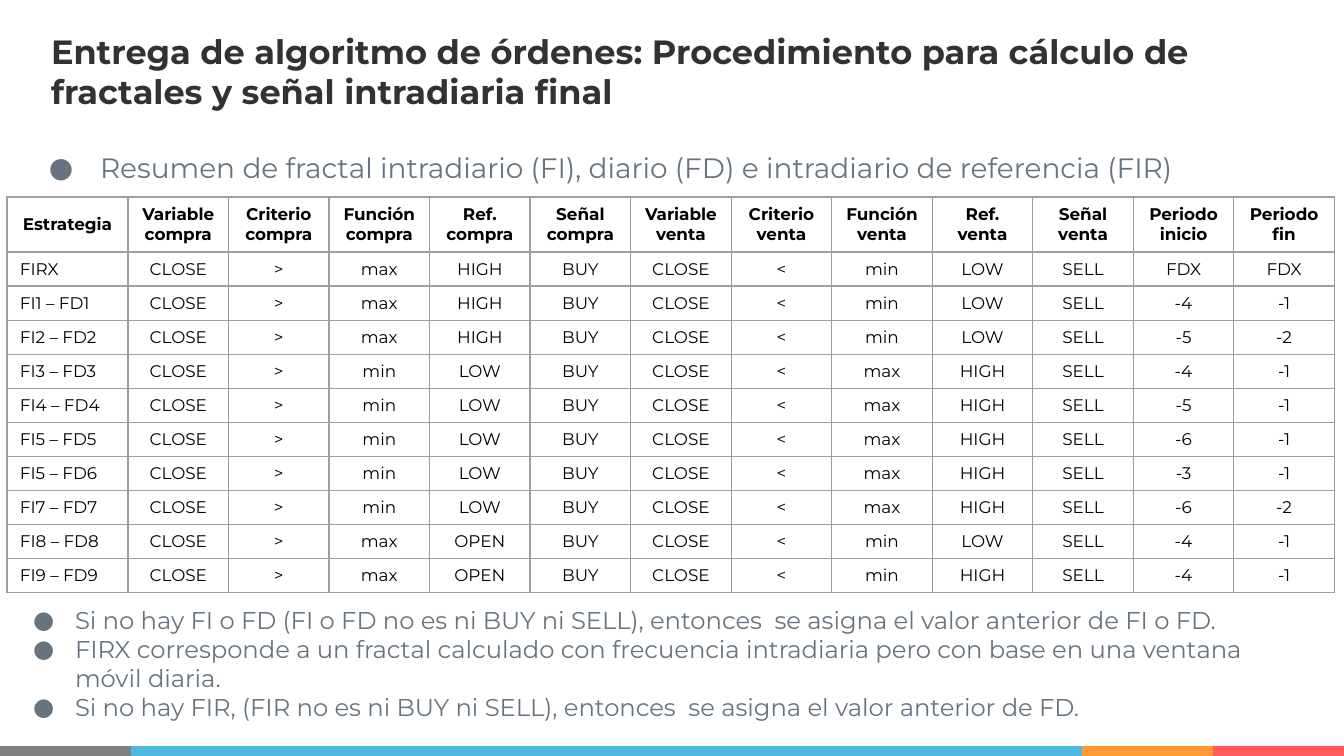
from lxml import etree
from pptx import Presentation
from pptx.dml.color import RGBColor
from pptx.enum.shapes import MSO_SHAPE
from pptx.enum.text import MSO_ANCHOR, MSO_AUTO_SIZE, PP_ALIGN
from pptx.oxml.ns import qn
from pptx.util import Emu, Pt

RECTANGLE = MSO_SHAPE.RECTANGLE
TOP, MIDDLE = MSO_ANCHOR.TOP, MSO_ANCHOR.MIDDLE
NO_AUTOFIT = MSO_AUTO_SIZE.NONE
LEFT, CENTER = PP_ALIGN.LEFT, PP_ALIGN.CENTER

FONT = "Montserrat"
EMU_PER_PX = 914400 / 134.4
INSET = 13
COLORS = {
    "title": "323232",
    "body": "677480",
    "cell": "000000",
    "border": "9E9E9E",
    "gray": "808080",
    "blue": "4EB8E1",
    "orange": "FF9933",
    "red": "FF5D5D",
}

TITLE = ("Entrega de algoritmo de órdenes: Procedimiento para cálculo de "
         "fractales y señal intradiaria final")
SUMMARY = ["Resumen de fractal intradiario (FI), diario (FD) e intradiario de referencia (FIR)"]
NOTES = [
    "Si no hay FI o FD (FI o FD no es ni BUY ni SELL), entonces  se asigna el valor anterior de FI o FD.",
    "FIRX corresponde a un fractal calculado con frecuencia intradiaria pero con base en una "
    "ventana móvil diaria.",
    "Si no hay FIR, (FIR no es ni BUY ni SELL), entonces  se asigna el valor anterior de FD.",
]
HEADERS = [
    "Estrategia", "Variable compra", "Criterio compra", "Función\ncompra", "Ref. compra",
    "Señal compra", "Variable venta", "Criterio venta", "Función venta", "Ref. venta",
    "Señal venta", "Periodo inicio", "Periodo fin",
]
STRATEGIES = [
    ("FIRX", "max", "HIGH", "min", "LOW", "FDX", "FDX"),
    ("FI1 – FD1", "max", "HIGH", "min", "LOW", "-4", "-1"),
    ("FI2 – FD2", "max", "HIGH", "min", "LOW", "-5", "-2"),
    ("FI3 – FD3", "min", "LOW", "max", "HIGH", "-4", "-1"),
    ("FI4 – FD4", "min", "LOW", "max", "HIGH", "-5", "-1"),
    ("FI5 – FD5", "min", "LOW", "max", "HIGH", "-6", "-1"),
    ("FI5 – FD6", "min", "LOW", "max", "HIGH", "-3", "-1"),
    ("FI7 – FD7", "min", "LOW", "max", "HIGH", "-6", "-2"),
    ("FI8 – FD8", "max", "OPEN", "min", "LOW", "-4", "-1"),
    ("FI9 – FD9", "max", "OPEN", "min", "HIGH", "-4", "-1"),
]


def px(length):
    """Convert pixels to EMU."""
    return Emu(round(length * EMU_PER_PX))


def rgb(name):
    """Look up a colour of the palette."""
    return RGBColor.from_string(COLORS[name])


def format_runs(paragraph, size, color, bold=False):
    """Apply the slide font to every run of a paragraph."""
    for run in paragraph.runs:
        run.font.name = FONT
        run.font.size = Pt(size)
        run.font.bold = bold
        run.font.color.rgb = rgb(color)


def fit_placeholder(placeholder, box):
    """Move a placeholder into its box and return its text frame."""
    placeholder.left, placeholder.top, placeholder.width, placeholder.height = map(px, box)
    frame = placeholder.text_frame
    frame.auto_size = NO_AUTOFIT
    frame.word_wrap = True
    frame.vertical_anchor = TOP
    frame.margin_left = frame.margin_right = px(INSET)
    frame.margin_top = frame.margin_bottom = px(INSET)
    return frame


def add_bullet(paragraph, margin, hanging):
    """Give a paragraph a round bullet with a hanging indent."""
    properties = paragraph._p.get_or_add_pPr()
    properties.set("marL", str(px(margin)))
    properties.set("indent", str(-px(hanging)))
    bullet_color = etree.SubElement(properties, qn("a:buClr"))
    etree.SubElement(bullet_color, qn("a:srgbClr"), val=COLORS["body"])
    etree.SubElement(properties, qn("a:buFont"), typeface=FONT)
    etree.SubElement(properties, qn("a:buChar"), char="●")


def build_title(placeholder, box):
    """Write the slide title."""
    frame = fit_placeholder(placeholder, box)
    frame.text = TITLE
    frame.paragraphs[0].alignment = LEFT
    format_runs(frame.paragraphs[0], 18, "title", bold=True)


def build_bullets(placeholder, box, items, size, margin, hanging):
    """Write a bulleted list."""
    frame = fit_placeholder(placeholder, box)
    frame.text = "\n".join(items)
    for paragraph in frame.paragraphs:
        paragraph.space_before = Pt(0)
        paragraph.line_spacing = 1.0
        add_bullet(paragraph, margin, hanging)
        format_runs(paragraph, size, "body")


def add_borders(cell):
    """Draw the four thin borders of a cell."""
    properties = cell._tc.get_or_add_tcPr()
    for side in ("lnL", "lnR", "lnT", "lnB"):
        line = etree.SubElement(properties, qn(f"a:{side}"), w=str(Pt(0.75)))
        fill = etree.SubElement(line, qn("a:solidFill"))
        etree.SubElement(fill, qn("a:srgbClr"), val=COLORS["border"])


def fill_cell(cell, text, alignment, bold):
    """Write and style one table cell."""
    cell.text_frame.text = text
    cell.vertical_anchor = MIDDLE
    cell.margin_left = cell.margin_right = px(INSET)
    cell.margin_top = cell.margin_bottom = px(6)
    add_borders(cell)
    cell.fill.background()
    for paragraph in cell.text_frame.paragraphs:
        paragraph.alignment = alignment
        format_runs(paragraph, 9, "cell", bold)


def build_strategy_table(slide, box):
    """Build the table of buy and sell rules per strategy."""
    left, top, width, height = box
    header_height, name_width = 55, 121
    rows = [HEADERS] + [
        (name, "CLOSE", ">", buy_function, buy_reference, "BUY",
         "CLOSE", "<", sell_function, sell_reference, "SELL", start, end)
        for name, buy_function, buy_reference, sell_function, sell_reference, start, end in STRATEGIES
    ]
    table = slide.shapes.add_table(len(rows), len(HEADERS), *map(px, box)).table
    table.first_row = table.horz_banding = False
    rule_width = (width - name_width) / (len(HEADERS) - 1)
    row_height = (height - header_height) / len(STRATEGIES)
    for index, column in enumerate(table.columns):
        column.width = px(rule_width if index else name_width)
    for index, row in enumerate(table.rows):
        row.height = px(row_height if index else header_height)
    for row_index, values in enumerate(rows):
        for column_index, value in enumerate(values):
            is_header = row_index == 0
            alignment = CENTER if is_header or column_index else LEFT
            fill_cell(table.cell(row_index, column_index), value, alignment, is_header)


def build_footer_band(slide, box):
    """Draw the coloured band along the bottom edge."""
    left, top, width, height = box
    end_width = 131
    blue_width = width - 3 * end_width
    segments = [("gray", end_width), ("blue", blue_width), ("orange", end_width), ("red", end_width)]
    for color, segment_width in segments:
        segment = slide.shapes.add_shape(
            RECTANGLE, px(left), px(top), px(segment_width), px(height))
        segment.shadow.inherit = False
        segment.fill.solid()
        segment.fill.fore_color.rgb = rgb(color)
        segment.line.fill.background()
        left += segment_width


def main():
    """Build and save the presentation."""
    presentation = Presentation()
    presentation.slide_width, presentation.slide_height = px(1344), px(756)
    slide = presentation.slides.add_slide(presentation.slide_layouts[3])
    title, summary, notes = slide.placeholders
    build_footer_band(slide, (0, 746, 1344, 10))
    build_title(title, (38, 18, 1282, 108))
    build_bullets(summary, (20, 138, 1300, 60), SUMMARY, 15, 67, 51)
    build_strategy_table(slide, (7, 197, 1328, 396))
    build_bullets(notes, (20, 592, 1300, 144), NOTES, 13, 42, 42)
    presentation.save("out.pptx")


if __name__ == "__main__":
    main()
